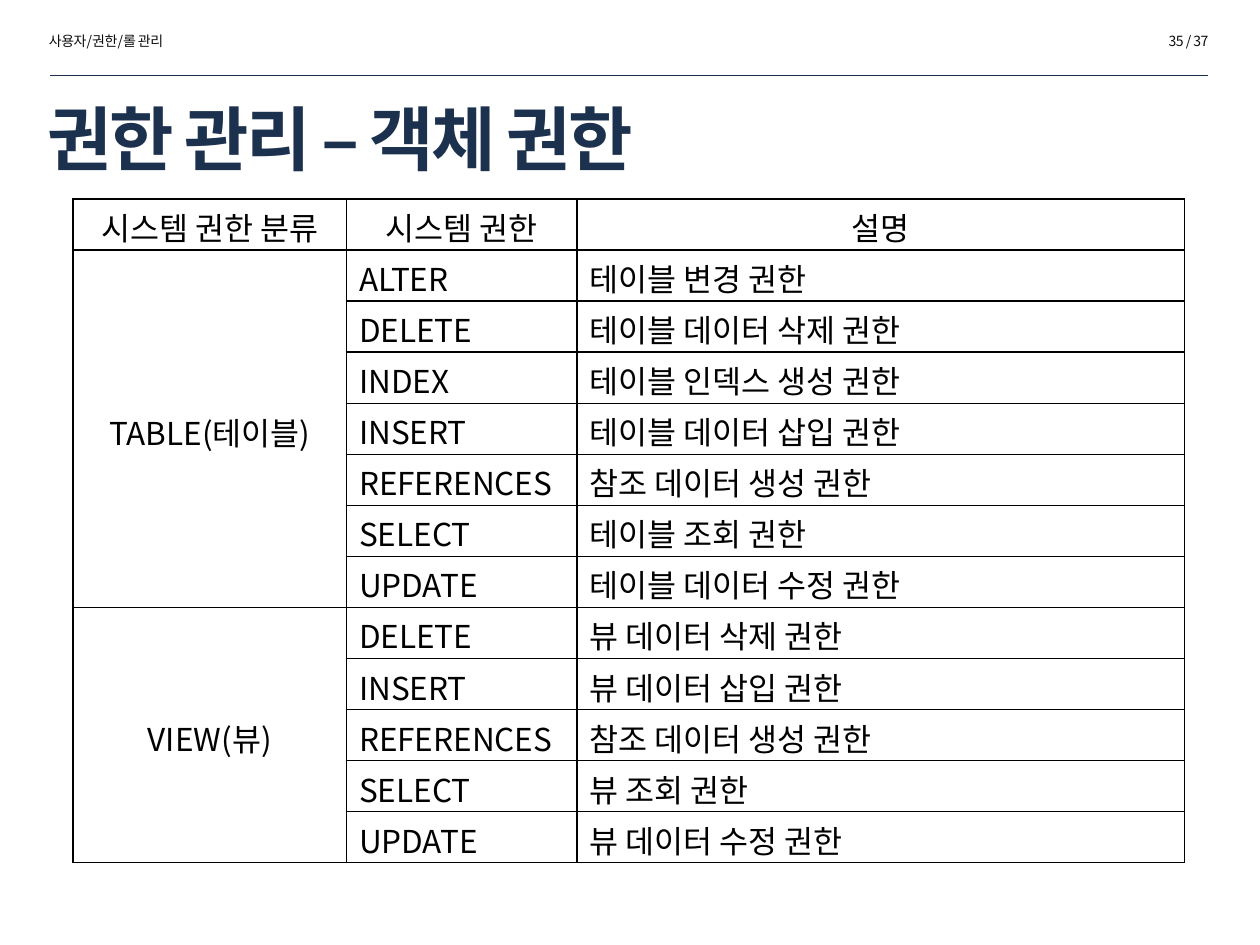
from lxml.etree import SubElement
from pptx import Presentation
from pptx.dml.color import RGBColor
from pptx.enum.shapes import MSO_CONNECTOR
from pptx.enum.text import MSO_ANCHOR, MSO_AUTO_SIZE, PP_ALIGN
from pptx.oxml.ns import qn
from pptx.util import Inches, Pt

# Content
TITLE = "권한 관리 – 객체 권한"
CHAPTER = "사용자/권한/롤 관리"
PAGE = "35 / 37"
HEADINGS = ["시스템 권한 분류", "시스템 권한", "설명"]
PRIVILEGES = {
    "TABLE(테이블)": [
        ("ALTER", "테이블 변경 권한"),
        ("DELETE", "테이블 데이터 삭제 권한"),
        ("INDEX", "테이블 인덱스 생성 권한"),
        ("INSERT", "테이블 데이터 삽입 권한"),
        ("REFERENCES", "참조 데이터 생성 권한"),
        ("SELECT", "테이블 조회 권한"),
        ("UPDATE", "테이블 데이터 수정 권한"),
    ],
    "VIEW(뷰)": [
        ("DELETE", "뷰 데이터 삭제 권한"),
        ("INSERT", "뷰 데이터 삽입 권한"),
        ("REFERENCES", "참조 데이터 생성 권한"),
        ("SELECT", "뷰 조회 권한"),
        ("UPDATE", "뷰 데이터 수정 권한"),
    ],
}

# Formats
NAVY = RGBColor(0x1C, 0x31, 0x4E)
INK = RGBColor(0x0D, 0x0D, 0x0D)
BLACK = RGBColor(0, 0, 0)
FONT = "Noto Sans CJK KR"
TITLE_FONT = {"size": Pt(40), "bold": True, "color": NAVY, "spacing": -150}
HEADER_FONT = {"size": Pt(8), "color": INK, "spacing": -30}
TABLE_FONT = {"size": Pt(18), "color": BLACK}
CELL_MARGINS = {"margin_left": Inches(0.1), "margin_right": Inches(0.1),
                "margin_top": Inches(0.04), "margin_bottom": 0}
COLUMN_WIDTHS = [2.17, 1.83, 4.82]
TABLE_LEFT, TABLE_TOP, TABLE_HEIGHT = 0.58, 1.58, 5.27


def set_attributes(target, values):
    for name, value in values.items():
        setattr(target, name, value)


def write(frame, text, style, align=PP_ALIGN.LEFT):
    paragraph = frame.paragraphs[0]
    paragraph.alignment = align
    run = paragraph.add_run()
    run.text = text
    font_values = {k: v for k, v in style.items() if k not in ("color", "spacing")}
    set_attributes(run.font, {"name": FONT, **font_values})
    run.font.color.rgb = style["color"]
    properties = run._r.get_or_add_rPr()
    properties.set("spc", str(style.get("spacing", 0)))
    SubElement(properties, qn("a:ea"), typeface=FONT)


def format_cell(cell):
    set_attributes(cell, CELL_MARGINS)
    properties = cell._tc.get_or_add_tcPr()
    for side in ("lnL", "lnR", "lnT", "lnB"):
        border = SubElement(properties, qn(f"a:{side}"), w=str(Pt(1)))
        fill = SubElement(border, qn("a:solidFill"))
        SubElement(fill, qn("a:srgbClr"), val=str(BLACK))
    cell.fill.background()


prs = Presentation()
prs.slide_width, prs.slide_height = Inches(10), Inches(7.5)
slide = prs.slides.add_slide(prs.slide_layouts[5])

# Header rule
rule = slide.shapes.add_connector(
    MSO_CONNECTOR.STRAIGHT, Inches(0.4), Inches(0.6), Inches(9.59), Inches(0.6))
rule.line.color.rgb = NAVY
rule.line.width = Pt(0.25)
SubElement(rule._element.spPr, qn("a:effectLst"))

# Title
title = slide.shapes.title
set_attributes(title, {"left": Inches(0.28), "top": Inches(0.77),
                       "width": Inches(7.65), "height": Inches(0.64)})
set_attributes(title.text_frame, {"auto_size": MSO_AUTO_SIZE.NONE,
                                  "vertical_anchor": MSO_ANCHOR.MIDDLE})
write(title.text_frame, TITLE, TITLE_FONT)

# Page number and chapter
for text, left, align in [(PAGE, 7.96, PP_ALIGN.RIGHT), (CHAPTER, 0.29, PP_ALIGN.LEFT)]:
    header = slide.shapes.add_textbox(
        Inches(left), Inches(0.21), Inches(1.73), Inches(0.24))
    set_attributes(header.text_frame, {"word_wrap": True,
                                       "auto_size": MSO_AUTO_SIZE.SHAPE_TO_FIT_TEXT})
    write(header.text_frame, text, HEADER_FONT, align)

# Privilege table
row_count = 1 + sum(len(group) for group in PRIVILEGES.values())
privilege_table = slide.shapes.add_table(
    row_count, len(HEADINGS), Inches(TABLE_LEFT), Inches(TABLE_TOP),
    Inches(sum(COLUMN_WIDTHS)), Inches(TABLE_HEIGHT)).table
for column, width in zip(privilege_table.columns, COLUMN_WIDTHS):
    column.width = Inches(width)
for cell in privilege_table.iter_cells():
    format_cell(cell)

for col, heading in enumerate(HEADINGS):
    write(privilege_table.cell(0, col).text_frame, heading, TABLE_FONT, PP_ALIGN.CENTER)

first_row = 1
for category, group in PRIVILEGES.items():
    category_cell = privilege_table.cell(first_row, 0)
    category_cell.merge(privilege_table.cell(first_row + len(group) - 1, 0))
    category_cell.vertical_anchor = MSO_ANCHOR.MIDDLE
    write(category_cell.text_frame, category, TABLE_FONT, PP_ALIGN.CENTER)
    for row, entry in enumerate(group, first_row):
        for col, text in enumerate(entry, 1):
            write(privilege_table.cell(row, col).text_frame, text, TABLE_FONT)
    first_row += len(group)

prs.save("out.pptx")
